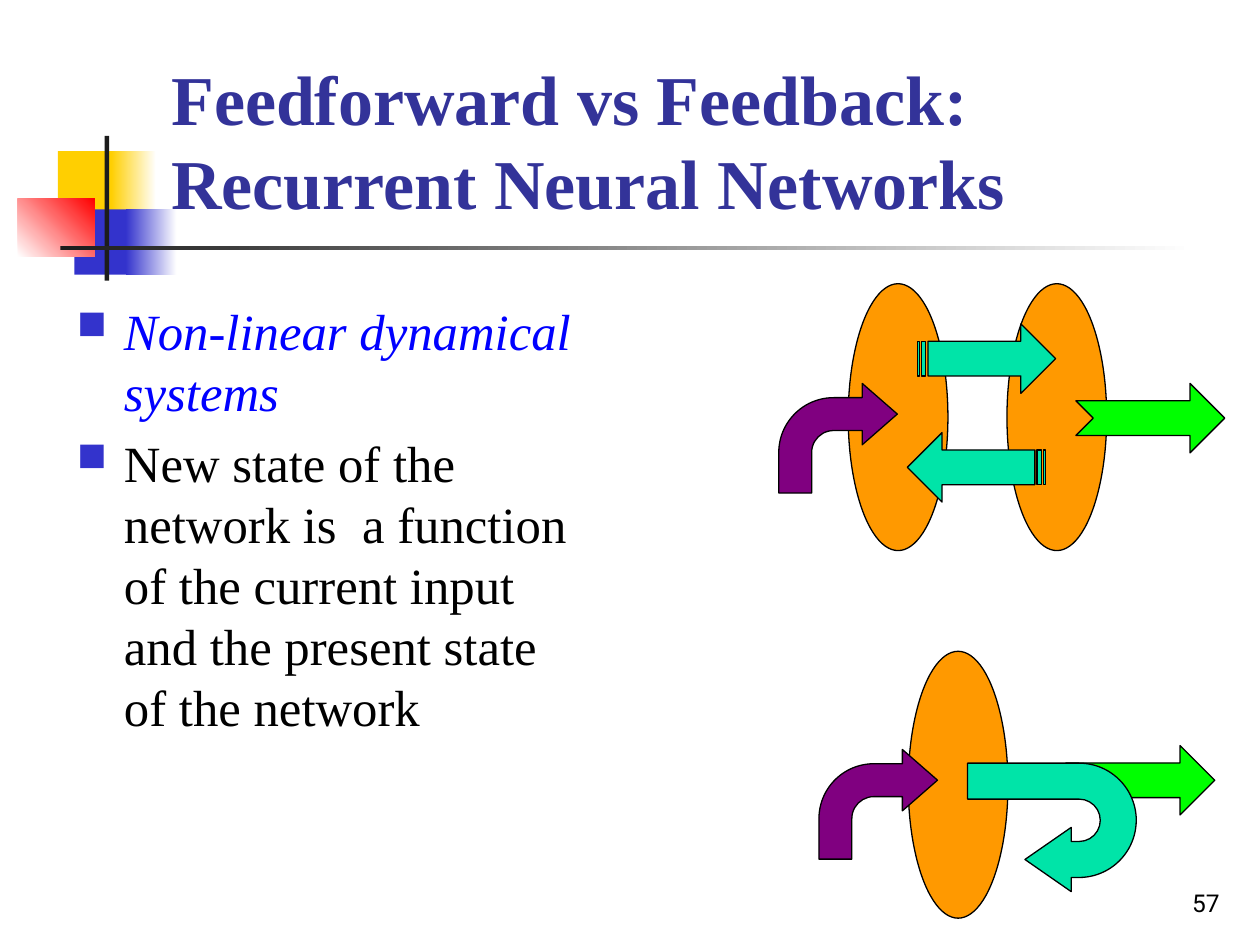
from lxml.etree import SubElement
from pptx import Presentation
from pptx.dml.color import RGBColor
from pptx.enum.shapes import MSO_SHAPE
from pptx.enum.text import MSO_ANCHOR, MSO_AUTO_SIZE, PP_ALIGN
from pptx.oxml.ns import qn
from pptx.util import Cm, Pt

BLACK = RGBColor(0x00, 0x00, 0x00)
WHITE = RGBColor(0xFF, 0xFF, 0xFF)
CHARCOAL = RGBColor(0x1C, 0x1C, 0x1C)
YELLOW = RGBColor(0xFF, 0xCF, 0x01)
BLUE = RGBColor(0x33, 0x33, 0xCC)
RED = RGBColor(0xFF, 0x00, 0x00)
TITLE_BLUE = RGBColor(0x33, 0x33, 0x99)
EMPHASIS_BLUE = RGBColor(0x00, 0x00, 0xFF)
LAYER_ORANGE = RGBColor(0xFF, 0x99, 0x00)
INPUT_PURPLE = RGBColor(0x80, 0x00, 0x80)
FEEDBACK_TEAL = RGBColor(0x00, 0xE4, 0xA8)
OUTPUT_GREEN = RGBColor(0x00, 0xFF, 0x00)

SERIF = "Times New Roman"
LAYER_SIZE = (2.01, 5.38)
INPUT_SIZE = (2.39, 2.21)
OUTPUT_SIZE = (3.0, 1.4)
LINK_SIZE = (2.79, 1.4)


def add_part(slide, kind, box, offset, size, adjustments=()):
    """Place a shape relative to the top left corner of its box."""
    part = slide.shapes.add_shape(
        kind, Cm(box[0] + offset[0]), Cm(box[1] + offset[1]), Cm(size[0]), Cm(size[1]))
    part.shadow.inherit = False
    for index, value in enumerate(adjustments):
        part.adjustments[index] = value
    return part


def add_bar(slide, box, offset, size, start, end=None, angle=0):
    """Add a borderless bar, solid or fading from start to end."""
    bar = add_part(slide, MSO_SHAPE.RECTANGLE, box, offset, size)
    bar.line.fill.background()
    if end is None:
        bar.fill.solid()
        bar.fill.fore_color.rgb = start
        return
    bar.fill.gradient()
    bar.fill.gradient_angle = angle
    for stop, color in zip(bar.fill.gradient_stops, (start, end)):
        stop.color.rgb = color


def add_outlined(slide, kind, box, offset, size, color, adjustments=()):
    part = add_part(slide, kind, box, offset, size, adjustments)
    part.fill.solid()
    part.fill.fore_color.rgb = color
    part.line.color.rgb = BLACK
    part.line.width = Pt(0.75)
    return part


def add_layer(slide, box, offset):
    add_outlined(slide, MSO_SHAPE.OVAL, box, offset, LAYER_SIZE, LAYER_ORANGE)


def add_input(slide, box, offset):
    add_outlined(slide, MSO_SHAPE.BENT_ARROW, box, offset, INPUT_SIZE, INPUT_PURPLE,
                 (0.3, 0.28, 0.32, 0.5))


def add_output(slide, box, offset):
    add_outlined(slide, MSO_SHAPE.NOTCHED_RIGHT_ARROW, box, offset, OUTPUT_SIZE,
                 OUTPUT_GREEN, (0.5, 0.5))


def add_link(slide, box, offset):
    return add_outlined(slide, MSO_SHAPE.STRIPED_RIGHT_ARROW, box, offset, LINK_SIZE,
                        FEEDBACK_TEAL, (0.5, 0.5))


def add_run(paragraph, text, font_name, size, color, bold=False, italic=False):
    run = paragraph.add_run()
    run.text = text
    run.font.name = font_name
    run.font.size = Pt(size)
    run.font.color.rgb = color
    run.font.bold = bold
    run.font.italic = italic


def add_text_frame(slide, box):
    frame = slide.shapes.add_textbox(*map(Cm, box)).text_frame
    frame.word_wrap = True
    return frame


def set_square_bullet(paragraph):
    properties = paragraph._p.get_or_add_pPr()
    properties.set("marL", str(Cm(0.95)))
    properties.set("indent", str(-Cm(0.95)))
    bullet_color = SubElement(properties, qn("a:buClr"))
    SubElement(bullet_color, qn("a:srgbClr"), val=str(BLUE))
    SubElement(properties, qn("a:buSzPct"), val="80000")
    SubElement(properties, qn("a:buChar"), char="■")


def draw_ornament(slide, box):
    # Coloured squares with their fades
    add_bar(slide, box, (0.81, 0.31), (1.22, 1.32), YELLOW)
    add_bar(slide, box, (1.88, 0.31), (0.91, 1.32), YELLOW, WHITE)
    add_bar(slide, box, (1.14, 1.48), (1.17, 1.32), BLUE)
    add_bar(slide, box, (2.18, 1.48), (1.02, 1.32), BLUE, WHITE)
    add_bar(slide, box, (0, 1.27), (1.55, 1.17), WHITE, RED, 45)
    # Crossing rules
    add_bar(slide, box, (1.75, 0), (0.09, 2.92), CHARCOAL)
    add_bar(slide, box, (0.86, 2.21), (22.86, 0.09), CHARCOAL, WHITE)


def write_title(slide, box):
    title = slide.shapes.title
    title.left, title.top, title.width, title.height = map(Cm, box)
    frame = title.text_frame
    frame.auto_size = MSO_AUTO_SIZE.NONE
    frame.vertical_anchor = MSO_ANCHOR.BOTTOM
    heading = frame.paragraphs[0]
    heading.alignment = PP_ALIGN.LEFT
    add_run(heading, "Feedforward vs Feedback:", SERIF, 40, TITLE_BLUE, bold=True)
    heading.add_line_break()
    add_run(heading, "Recurrent Neural Networks", SERIF, 40, TITLE_BLUE, bold=True)


def write_points(slide, box):
    frame = add_text_frame(slide, box)
    system = frame.paragraphs[0]
    set_square_bullet(system)
    add_run(system, "Non-linear dynamical systems", SERIF, 29, EMPHASIS_BLUE, italic=True)
    state = frame.add_paragraph()
    set_square_bullet(state)
    state.space_before = Pt(5.8)
    add_run(state, "New state of the network is  a function of the current input "
            "and the present state of the network", SERIF, 29, BLACK)


def write_page_number(slide, box):
    frame = add_text_frame(slide, box)
    frame.vertical_anchor = MSO_ANCHOR.BOTTOM
    number = frame.paragraphs[0]
    number.alignment = PP_ALIGN.RIGHT
    add_run(number, "57", "Roboto", 14, BLACK)


def draw_two_layer_network(slide, box):
    for left in (1.4, 4.6):
        add_layer(slide, box, (left, 0))
    # Forward and backward links
    add_link(slide, box, (2.79, 0.81))
    backward = add_link(slide, box, (2.59, 3.0))
    backward.rotation = 180
    add_input(slide, box, (0, 2.01))
    add_output(slide, box, (5.99, 2.01))


def draw_self_feedback_network(slide, box):
    add_output(slide, box, (4.98, 1.9))
    add_layer(slide, box, (1.8, 0))
    add_input(slide, box, (0, 1.98))
    # Output returning to the layer
    feedback = add_outlined(slide, MSO_SHAPE.U_TURN_ARROW, box, (3.4, 1.85), (2.59, 3.4),
                            FEEDBACK_TEAL, (0.28, 0.28, 0.36, 0.48, 0.66))
    feedback.rotation = 90


def main():
    deck = Presentation()
    deck.slide_width, deck.slide_height = Cm(25.4), Cm(19.05)
    slide = deck.slides.add_slide(deck.slide_layouts[5])
    draw_ornament(slide, (0.36, 2.74))
    write_page_number(slide, (19.56, 17.35, 5.28, 1.27))
    write_title(slide, (3.2, 0.58, 21.64, 4.06))
    write_points(slide, (1.3, 5.92, 10.57, 11.43))
    draw_self_feedback_network(slide, (16.51, 13.13))
    draw_two_layer_network(slide, (15.7, 5.72))
    deck.save("out.pptx")


if __name__ == "__main__":
    main()
